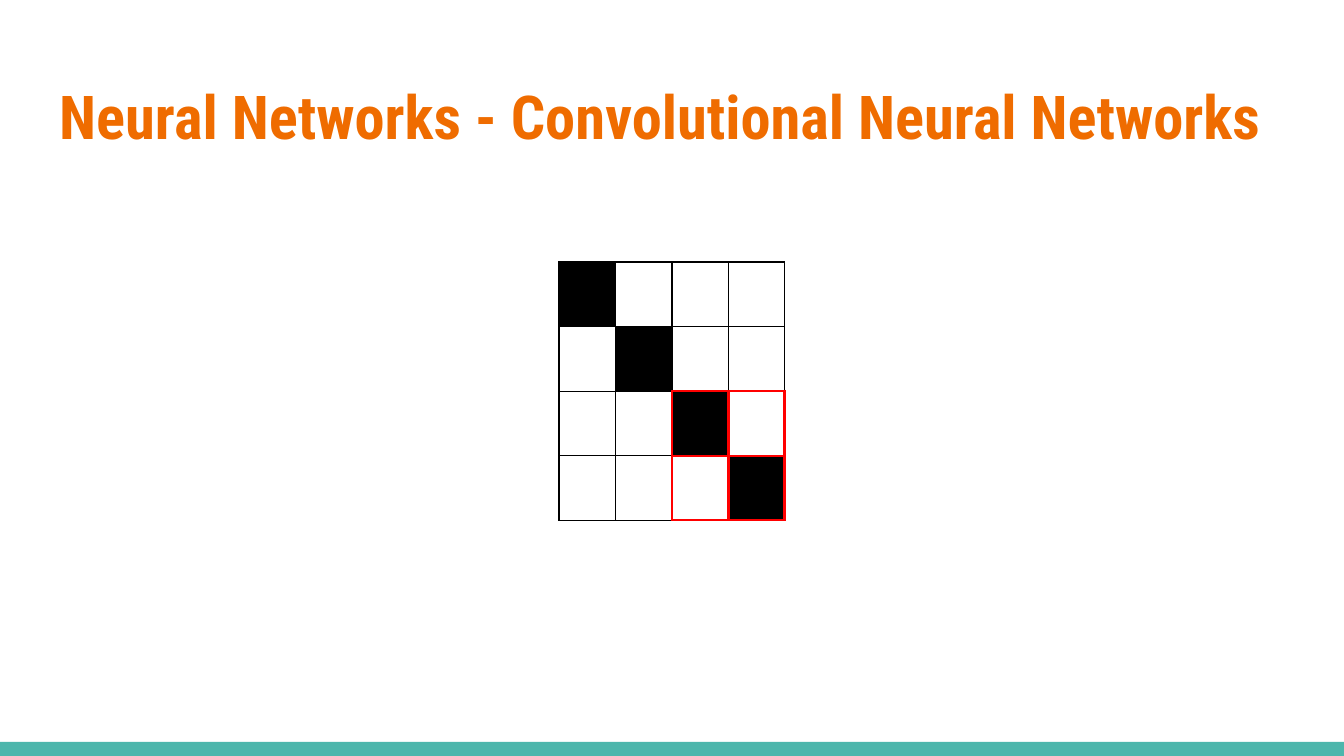
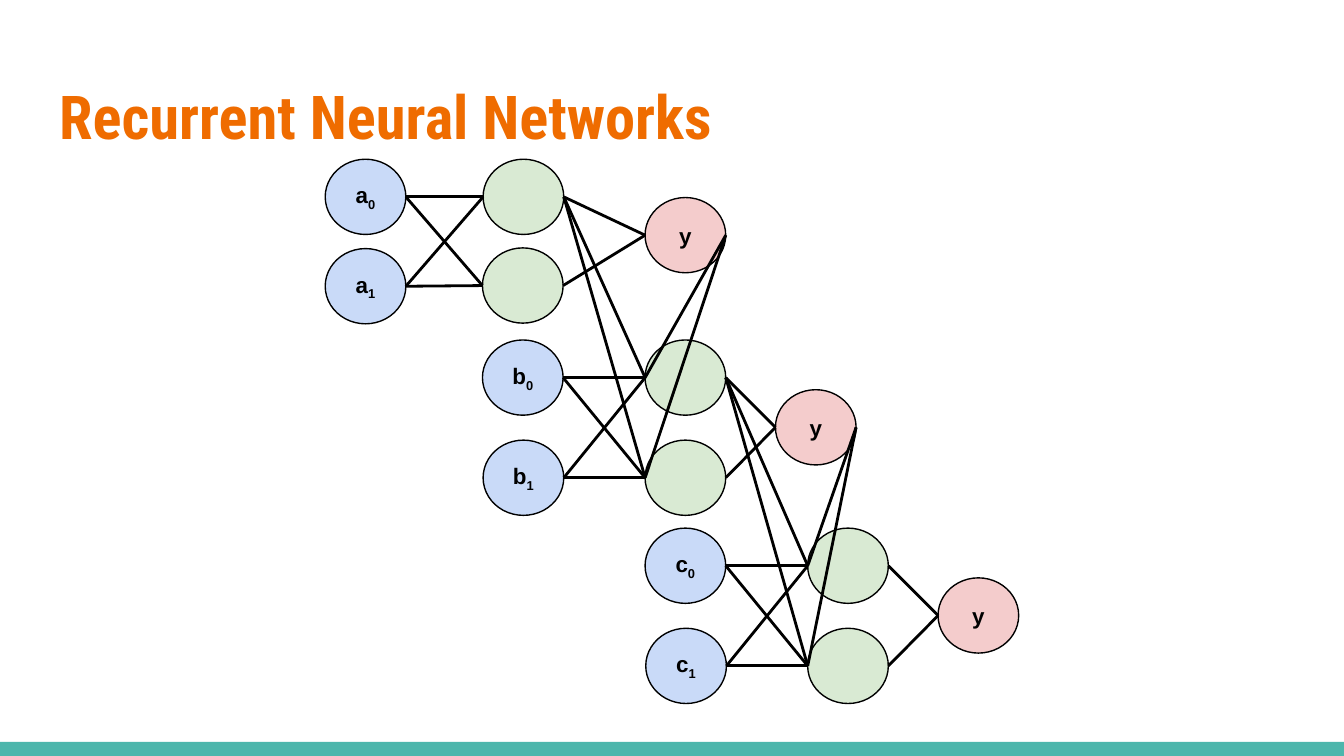
from dataclasses import dataclass
from itertools import product

from lxml import etree
from pptx import Presentation
from pptx.dml.color import RGBColor
from pptx.enum.shapes import MSO_CONNECTOR, MSO_SHAPE
from pptx.enum.text import MSO_ANCHOR, MSO_AUTO_SIZE, PP_ALIGN
from pptx.oxml.ns import qn
from pptx.util import Emu, Pt

RECT, OVAL = MSO_SHAPE.RECTANGLE, MSO_SHAPE.OVAL
LINE = MSO_CONNECTOR.STRAIGHT
TOP, MIDDLE = MSO_ANCHOR.TOP, MSO_ANCHOR.MIDDLE
LEFT, CENTER = PP_ALIGN.LEFT, PP_ALIGN.CENTER
NO_FIT = MSO_AUTO_SIZE.NONE

SCALE = 4572  # EMU per px, 200 px to the inch
WIDE, HIGH = 2000, 1125
BAR = 21
PAD = 20
NODE = (120, 112)
TITLE_ONLY = 5

SIDES = {"L": (0, -1), "R": (0, 1), "T": (-1, 0), "B": (1, 0)}


@dataclass(frozen=True)
class Theme:
    head: str = "EF6C00"
    bar: str = "4DB6AC"
    ink: str = "000000"
    mark: str = "FF0000"
    paper: str = "FFFFFF"
    input: str = "C9DAF8"
    hidden: str = "D9EAD3"
    output: str = "F4CCCC"
    head_font: str = "Roboto Condensed"
    font: str = "Arial"
    head_size: float = 32.4
    size: float = 12
    cell_size: float = 18
    thin: float = 0.75
    thick: float = 1.5


def px(n):
    return Emu(n * SCALE)


def rgb(code):
    return RGBColor.from_string(code)


class Deck:
    def __init__(self, theme):
        self.theme = theme
        self.file = Presentation()
        self.file.slide_width, self.file.slide_height = px(WIDE), px(HIGH)
        self.slide = None

    def page(self, title):
        """Start a slide with the shared background, bottom bar and title."""
        look = self.theme
        self.slide = self.file.slides.add_slide(
            self.file.slide_layouts[TITLE_ONLY])
        fill = self.slide.background.fill
        fill.solid()
        fill.fore_color.rgb = rgb(look.paper)
        self.shape(RECT, 0, HIGH - BAR, WIDE, BAR, look.bar)
        head = self.slide.shapes.title
        head.left, head.top, head.width, head.height = map(
            px, (68, 98, 1864, 154))
        para = self.frame(head, LEFT, TOP)
        self.run(para, title, look.head_font, look.head_size, look.head)

    def frame(self, shape, align, anchor):
        text = shape.text_frame
        text.word_wrap = True
        text.auto_size = NO_FIT
        text.vertical_anchor = anchor
        text.margin_left = text.margin_right = px(PAD)
        text.margin_top = text.margin_bottom = px(PAD)
        para = text.paragraphs[0]
        para.alignment = align
        return para

    def run(self, para, text, font, size, color, base=0):
        run = para.add_run()
        run.text = text
        run.font.name, run.font.size, run.font.bold = font, Pt(size), True
        run.font.color.rgb = rgb(color)
        if base:
            run._r.get_or_add_rPr().set("baseline", str(base * 1000))

    def shape(self, kind, x, y, w, h, fill, line=None):
        item = self.slide.shapes.add_shape(kind, px(x), px(y), px(w), px(h))
        item.shadow.inherit = False
        item.fill.solid()
        item.fill.fore_color.rgb = rgb(fill)
        if line:
            item.line.color.rgb = rgb(line)
            item.line.width = Pt(self.theme.thin)
        else:
            item.line.fill.background()
        return item

    def node(self, spot, fill, name="", sub=""):
        look = self.theme
        item = self.shape(OVAL, *spot, *NODE, fill, look.ink)
        if name:
            para = self.frame(item, CENTER, MIDDLE)
            self.run(para, name, look.font, look.size, look.ink)
            if sub:
                self.run(para, sub, look.font, look.size, look.ink, -25)
        return item

    def edge(self, start, end):
        """Draw a line from the right of one node to the left of another."""
        line = self.slide.shapes.add_connector(
            LINE, start.left + start.width, start.top + start.height // 2,
            end.left, end.top + end.height // 2)
        line.line.color.rgb = rgb(self.theme.ink)
        line.line.width = Pt(self.theme.thick)
        etree.SubElement(line._element.spPr, qn("a:effectLst"))

    def grid(self, x, y, count, side, size, window):
        """Draw a square grid with a dark diagonal and a marked window."""
        frame = self.slide.shapes.add_table(
            count, count, px(x), px(y), px(count * side), px(count * side))
        frame.width = frame.height = px(size)
        table = frame.table
        table.first_row = table.horz_banding = False
        for row, col in product(range(count), repeat=2):
            cell = table.cell(row, col)
            cell.margin_left = cell.margin_right = px(PAD)
            cell.margin_top = cell.margin_bottom = px(PAD)
            for name, (down, over) in SIDES.items():
                near = (row + down, col + over)
                self.border(cell, name, (row, col) in window or near in window)
            if row == col:
                cell.fill.solid()
                cell.fill.fore_color.rgb = rgb(self.theme.ink)
            else:
                cell.fill.background()
            para = cell.text_frame.paragraphs[0]._p
            end = etree.SubElement(para, qn("a:endParaRPr"),
                                   sz=str(int(self.theme.cell_size * 100)))
            etree.SubElement(end, qn("a:latin"), typeface=self.theme.font)

    def border(self, cell, side, marked):
        look = self.theme
        width, color = ((look.thick, look.mark) if marked
                        else (look.thin, look.ink))
        line = etree.SubElement(cell._tc.get_or_add_tcPr(),
                                qn("a:ln" + side), w=str(int(Pt(width))))
        fill = etree.SubElement(line, qn("a:solidFill"))
        etree.SubElement(fill, qn("a:srgbClr"), val=color)


# Each step: letter, input spots, hidden spots, output spot
STEPS = [
    ("a", [(484, 237), (484, 370)], [(719, 237), (718, 369)], (960, 294)),
    ("b", [(718, 506), (719, 655)], [(960, 506), (960, 655)], (1154, 580)),
    ("c", [(960, 786), (961, 935)], [(1202, 786), (1202, 935)], (1396, 860)),
]


def convolve(deck):
    deck.page("Neural Networks - Convolutional Neural Networks")
    deck.grid(832, 390, 4, 84, 656, set(product((2, 3), repeat=2)))


def recur(deck):
    look = deck.theme
    deck.page("Recurrent Neural Networks")
    layers = []
    for name, ins, mids, out in STEPS:
        layers.append((
            [deck.node(spot, look.input, name, str(i))
             for i, spot in enumerate(ins)],
            [deck.node(spot, look.hidden) for spot in mids],
            deck.node(out, look.output, "y")))
    past = []
    for ins, mids, out in layers:
        for start, end in product(ins + past, mids):
            deck.edge(start, end)
        for mid in mids:
            deck.edge(mid, out)
        past = [mids[0], out]


def main():
    deck = Deck(Theme())
    convolve(deck)
    recur(deck)
    deck.file.save("out.pptx")


if __name__ == "__main__":
    main()
